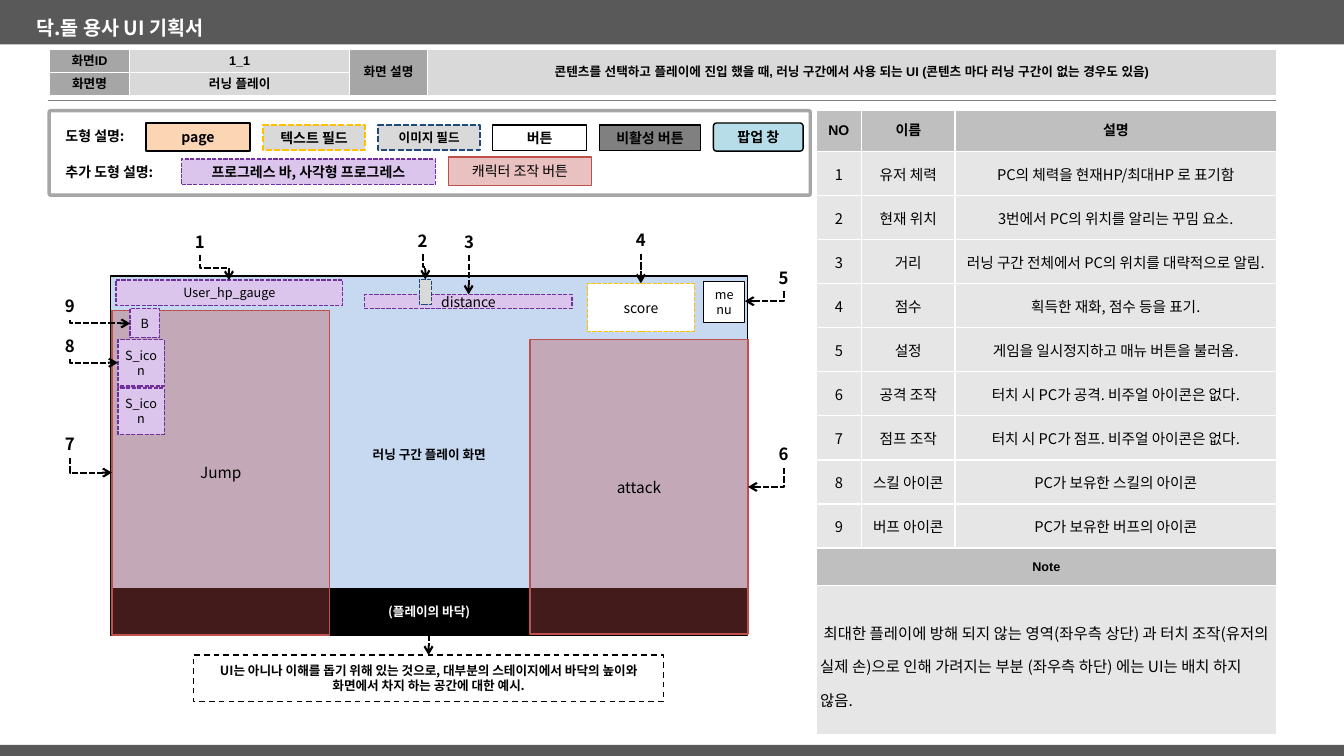
"""Builds the running-play screen page of a game UI specification."""
from lxml import etree
from pptx import Presentation
from pptx.dml.color import RGBColor
from pptx.enum.dml import MSO_LINE
from pptx.enum.shapes import MSO_CONNECTOR, MSO_SHAPE
from pptx.enum.text import MSO_ANCHOR, PP_ALIGN
from pptx.oxml.ns import qn
from pptx.util import Cm, Pt

RECTANGLE, ROUNDED = MSO_SHAPE.RECTANGLE, MSO_SHAPE.ROUNDED_RECTANGLE
STRAIGHT, ELBOW = MSO_CONNECTOR.STRAIGHT, MSO_CONNECTOR.ELBOW
SHORT_DASH, DASH = MSO_LINE.SQUARE_DOT, MSO_LINE.DASH
CENTER, LEFT = PP_ALIGN.CENTER, PP_ALIGN.LEFT
TOP, MIDDLE = MSO_ANCHOR.TOP, MSO_ANCHOR.MIDDLE
BODY_FONT, HEADER_FONT = "Noto Sans CJK KR", "Arial"

COLORS = {
    "white": "FFFFFF", "black": "000000", "bar": "595959", "rule": "7F7F7F",
    "label": "A6A6A6", "value": "D9D9D9", "header": "BFBFBF", "body": "E6E6E6",
    "screen": "C6D9F1", "red": "C0504D", "lilac": "DCC5ED", "purple": "7030A0",
    "amber": "FFC000", "navy": "1F497D", "peach": "FCD5B5", "inactive": "808080",
    "popup": "B7DEE8",
}
COLORS = {name: RGBColor.from_string(value) for name, value in COLORS.items()}


def write(text_frame, text, size, bold=False, color="black", font=BODY_FONT, align=CENTER):
    """Fills a text frame with one formatted paragraph."""
    text_frame.text = text
    text_frame.word_wrap = True
    paragraph = text_frame.paragraphs[0]
    paragraph.alignment = align
    for run in paragraph.runs:
        run.font.size = Pt(size)
        run.font.bold = bold
        run.font.name = font
        run.font.color.rgb = COLORS[color]
        etree.SubElement(run.font._element, qn("a:ea"), typeface=font)


def fill_cell(cell, text, fill, size, bold, font, align=CENTER):
    """Formats one table cell with white borders."""
    write(cell.text_frame, text, size, bold, font=font, align=align)
    cell.vertical_anchor = MIDDLE
    cell.margin_left = cell.margin_right = cell.margin_top = cell.margin_bottom = Cm(0.1)
    cell.fill.solid()
    cell.fill.fore_color.rgb = COLORS[fill]
    properties = cell._tc.get_or_add_tcPr()
    for index, side in enumerate(("a:lnL", "a:lnR", "a:lnT", "a:lnB")):
        border = etree.Element(qn(side), w="12700")
        solid = etree.SubElement(border, qn("a:solidFill"))
        etree.SubElement(solid, qn("a:srgbClr"), val=str(COLORS["white"]))
        properties.insert(index, border)


presentation = Presentation()
presentation.slide_width, presentation.slide_height = Cm(33.87), Cm(19.05)
slide = presentation.slides.add_slide(presentation.slide_layouts[6])
shapes = slide.shapes

for top, height in ((0, 1.12), (18.77, 0.28)):
    bar = shapes.add_shape(RECTANGLE, Cm(0), Cm(top), Cm(33.87), Cm(height))
    bar.shadow.inherit = False
    bar.fill.solid()
    bar.fill.fore_color.rgb = COLORS["bar"]
    bar.line.fill.background()

rule = shapes.add_connector(STRAIGHT, Cm(1.22), Cm(2.54), Cm(32.16), Cm(2.54))
rule.line.color.rgb = COLORS["rule"]
rule.line.width = Pt(0.75)
etree.SubElement(rule._element.spPr, qn("a:effectLst"))

info = shapes.add_table(2, 4, Cm(1.24), Cm(1.24), Cm(30.92), Cm(1.16)).table
details = shapes.add_table(12, 3, Cm(20.57), Cm(2.79), Cm(11.6), Cm(15.72)).table
for table, widths, heights in (
    (info, (2.03, 5.54, 1.96, 21.39), (0.58, 0.58)),
    (details, (1.14, 2.36, 8.1), (1.03, *[1.11] * 9, 0.95, 3.75)),
):
    table.first_row = table.horz_banding = False
    for column, width in zip(table.columns, widths):
        column.width = Cm(width)
    for row, height in zip(table.rows, heights):
        row.height = Cm(height)

for column in (2, 3):
    info.cell(0, column).merge(info.cell(1, column))
for row, column, text in (
    (0, 0, "화면ID"), (0, 1, "1_1"), (0, 2, "화면 설명"),
    (0, 3, "콘텐츠를 선택하고 플레이에 진입 했을 때, 러닝 구간에서 사용 되는 UI (콘텐츠 마다 러닝 구간이 없는 경우도 있음)"),
    (1, 0, "화면명"), (1, 1, "러닝 플레이"),
):
    fill_cell(info.cell(row, column), text, "value" if column % 2 else "label", 9, True, HEADER_FONT)

elements = (
    ("유저 체력", "PC의 체력을 현재HP/최대HP 로 표기함"),
    ("현재 위치", "3번에서 PC의 위치를 알리는 꾸밈 요소."),
    ("거리", "러닝 구간 전체에서 PC의 위치를 대략적으로 알림."),
    ("점수", "획득한 재화, 점수 등을 표기."),
    ("설정", "게임을 일시정지하고 매뉴 버튼을 불러옴."),
    ("공격 조작", "터치 시 PC가 공격. 비주얼 아이콘은 없다."),
    ("점프 조작", "터치 시 PC가 점프. 비주얼 아이콘은 없다."),
    ("스킬 아이콘", "PC가 보유한 스킬의 아이콘"),
    ("버프 아이콘", "PC가 보유한 버프의 아이콘"),
)
for column, text in enumerate(("NO", "이름", "설명")):
    fill_cell(details.cell(0, column), text, "header", 10, True, HEADER_FONT)
for number, (name, description) in enumerate(elements, 1):
    for column, text in enumerate((str(number), name, description)):
        fill_cell(details.cell(number, column), text, "body", 10.5, False, BODY_FONT)
for row in (10, 11):
    details.cell(row, 0).merge(details.cell(row, 2))
note = details.cell(11, 0)
fill_cell(details.cell(10, 0), "Note", "header", 9, True, HEADER_FONT)
fill_cell(note, " 최대한 플레이에 방해 되지 않는 영역(좌우측 상단) 과 터치 조작(유저의 실제 손)으로 인해 가려지는 부분 "
          "(좌우측 하단) 에는 UI는 배치 하지 않음.", "body", 11, False, BODY_FONT, LEFT)
note.text_frame.paragraphs[0].line_spacing = 1.5

footnote = "UI는 아니나 이해를 돕기 위해 있는 것으로, 대부분의 스테이지에서 바닥의 높이와 화면에서 차지 하는 공간에 대한 예시."
boxes = (
    ("러닝 구간 플레이 화면", 2.79, 6.96, 16.05, 8.99, "screen", "black", 1, None, 9, True),
    ("(플레이의 바닥)", 2.79, 14.83, 16.05, 1.17, "black", "black", 1, None, 9, True),
    ("Jump", 2.82, 7.82, 5.49, 8.18, "red", "red", 1, None, 11, False),
    ("attack", 13.36, 8.56, 5.49, 7.42, "red", "red", 1, None, 11, False),
    ("score", 14.81, 7.14, 2.69, 1.22, "white", "amber", 1, SHORT_DASH, 10, False),
    ("B", 3.28, 7.77, 0.74, 0.74, "lilac", "purple", 1, SHORT_DASH, 9, False),
    ("S_icon", 2.97, 8.56, 1.17, 1.17, "lilac", "purple", 1, SHORT_DASH, 9, False),
    ("S_icon", 2.97, 9.78, 1.17, 1.17, "lilac", "purple", 1, SHORT_DASH, 9, False),
    ("User_hp_gauge", 2.92, 7.06, 5.72, 0.64, "lilac", "purple", 1, SHORT_DASH, 9, False),
    ("distance", 9.19, 7.42, 5.23, 0.36, "lilac", "purple", 1, SHORT_DASH, 10, False),
    ("", 10.57, 7.04, 0.3, 0.64, "value", "navy", 1, SHORT_DASH, 9, False),
    ("menu", 17.73, 7.09, 1.04, 1.04, "white", "black", 1, None, 9, False),
    (footnote, 4.88, 16.51, 11.84, 1.17, "white", "black", 1, DASH, 9, True),
    ("", 1.24, 2.79, 19.18, 2.13, None, "label", 2.5, None, 9, False),
    ("page", 3.68, 3.1, 2.62, 0.71, "peach", "black", 1, None, 10, True),
    ("텍스트 필드", 6.63, 3.15, 2.57, 0.64, "value", "amber", 1.5, SHORT_DASH, 10, True),
    ("이미지 필드", 9.53, 3.15, 2.57, 0.64, "value", "navy", 1.5, SHORT_DASH, 9, True),
    ("버튼", 12.42, 3.15, 2.36, 0.64, "white", "black", 1, None, 10, True),
    ("비활성 버튼", 15.11, 3.15, 2.54, 0.64, "inactive", "black", 1, None, 10, True),
    ("팝업 창", 17.98, 3.1, 2.26, 0.71, "popup", "black", 1, None, 10, True),
    ("프로그레스 바, 사각형 프로그레스", 4.57, 4.01, 6.4, 0.64, "lilac", "purple", 1, SHORT_DASH, 10, True),
    ("캐릭터 조작 버튼", 11.3, 3.96, 3.61, 0.71, "red", "red", 1, None, 10, False),
)
corners = {None: 0.02, "popup": 0.11}
for text, left, top, width, height, fill, line, weight, dash, size, bold in boxes:
    outline = ROUNDED if fill in corners else RECTANGLE
    box = shapes.add_shape(outline, Cm(left), Cm(top), Cm(width), Cm(height))
    box.shadow.inherit = False
    if fill in corners:
        box.adjustments[0] = corners[fill]
    if fill:
        box.fill.solid()
        box.fill.fore_color.rgb = COLORS[fill]
    else:
        box.fill.background()
    if fill == "red":
        fill_color = box._element.spPr.find(qn("a:solidFill"))[0]
        etree.SubElement(fill_color, qn("a:alpha"), val="35000")
    box.line.color.rgb = COLORS[line]
    box.line.width = Pt(weight)
    if dash:
        box.line.dash_style = dash
    if text:
        frame = box.text_frame
        write(frame, text, size, bold, "white" if fill == "black" else "black")
        frame.vertical_anchor = TOP if fill == "popup" else MIDDLE
        if text == "S_icon":
            frame.margin_left = frame.margin_right = frame.margin_top = frame.margin_bottom = Cm(0.1)

callouts = (
    ("1", 5.04, 6.43, 5.77, 7.06, 3), ("2", 10.65, 6.41, 10.72, 7.04, 3),
    ("3", 11.82, 6.43, 11.81, 7.42, 3), ("4", 16.15, 6.4, 16.15, 7.14, 3),
    ("5", 19.75, 7.34, 18.77, 7.59, 2), ("6", 19.75, 11.79, 18.85, 12.27, 2),
    ("7", 1.76, 11.54, 2.82, 11.91, 2), ("8", 1.76, 9.05, 2.97, 9.14, 2),
    ("9", 1.76, 8.06, 3.28, 8.15, 2), (None, 10.82, 16, 10.8, 16.51, 3),
)
labels = [("닥.돌 용사 UI 기획서", 0.66, 0.28, 32.26, 0.86, 14, "white", LEFT, TOP),
          ("도형 설명:", 1.4, 3.1, 2.16, 0.69, 10, "black", LEFT, TOP),
          ("추가 도형 설명:", 1.4, 3.99, 3, 0.69, 10, "black", LEFT, TOP)]
labels += [(number, x - 0.52, y - 0.69, 1.04, 0.69, 12, "black", CENTER, MIDDLE)
           for number, x, y, *_ in callouts if number]
for text, left, top, width, height, size, color, align, anchor in labels:
    label = shapes.add_textbox(Cm(left), Cm(top), Cm(width), Cm(height))
    write(label.text_frame, text, size, True, color, align=align)
    label.text_frame.vertical_anchor = anchor
    label.text_frame.word_wrap = align == CENTER

for _, start_x, start_y, end_x, end_y, bends in callouts:
    middle_x, middle_y = (start_x + end_x) / 2, (start_y + end_y) / 2
    rightward = end_x > start_x
    reach = (end_y - start_y) / 2 * (-1 if rightward else 1)
    spread = abs(end_x - start_x) / 2
    arrow = shapes.add_connector(ELBOW, Cm(middle_x - reach), Cm(middle_y - spread),
                                 Cm(middle_x + reach), Cm(middle_y + spread))
    properties = arrow._element.spPr
    properties.find(qn("a:xfrm")).set("rot", "16200000" if rightward else "5400000")
    properties.find(qn("a:prstGeom")).set("prst", f"bentConnector{bends}")
    arrow.line.color.rgb = COLORS["black"]
    arrow.line.width = Pt(1.5)
    arrow.line.dash_style = SHORT_DASH
    etree.SubElement(properties.find(qn("a:ln")), qn("a:tailEnd"), type="arrow")
    etree.SubElement(properties, qn("a:effectLst"))

presentation.save("out.pptx")
